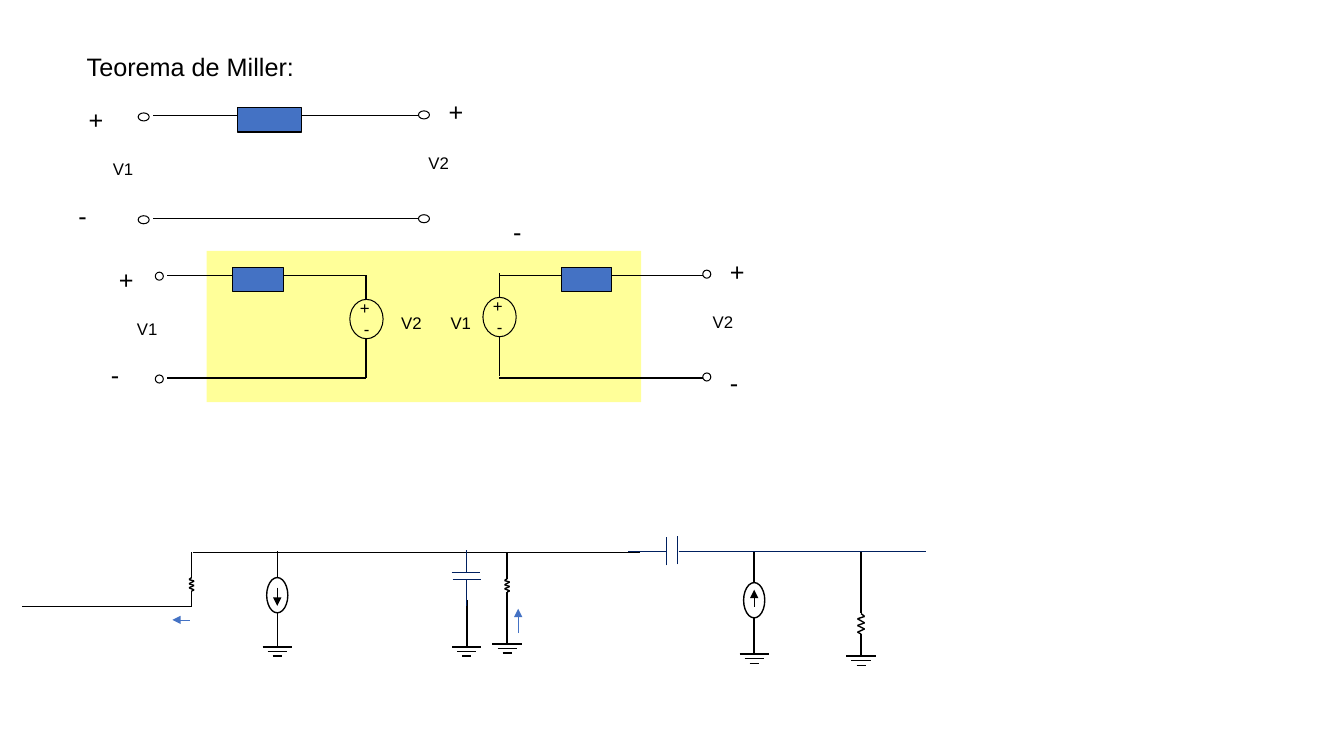
from itertools import pairwise

from lxml import etree
from pptx import Presentation
from pptx.dml.color import RGBColor
from pptx.enum.shapes import MSO_CONNECTOR, MSO_SHAPE
from pptx.enum.text import MSO_ANCHOR, MSO_AUTO_SIZE, PP_ALIGN
from pptx.oxml.ns import qn
from pptx.util import Inches, Pt

STRAIGHT = MSO_CONNECTOR.STRAIGHT
RECTANGLE, OVAL = MSO_SHAPE.RECTANGLE, MSO_SHAPE.OVAL
TOP, LEFT = MSO_ANCHOR.TOP, PP_ALIGN.LEFT
NO_RESIZE = MSO_AUTO_SIZE.NONE
TITLE_ONLY = 5
FONT = "Arial"
BLACK, BLUE, NAVY, YELLOW = "000000", "4472C4", "002060", "FFFF99"
ZIGZAG = [(0, 0), (0, 0.16), (-1, 0.26), (1, 0.34), (-1, 0.48), (1, 0.57),
          (-1, 0.69), (1, 0.8), (0, 0.86), (0, 1)]


def color(value):
    """Turn a hex string into a colour."""
    return RGBColor.from_string(value)


def wire(page, x1, y1, x2, y2, width=0.75, ink=BLACK, arrow=False):
    """Draw a straight line, with an arrowhead at its end if asked."""
    line = page.shapes.add_connector(
        STRAIGHT, Inches(x1), Inches(y1), Inches(x2), Inches(y2))
    line.line.width = Pt(width)
    line.line.color.rgb = color(ink)
    properties = line._element.spPr
    if arrow:
        etree.SubElement(properties.find(qn("a:ln")), qn("a:tailEnd"), type="triangle")
    etree.SubElement(properties, qn("a:effectLst"))


def block(page, kind, left, top, width, height, fill=None, line_width=0.75):
    """Draw a preset shape with an optional fill and outline."""
    shape = page.shapes.add_shape(
        kind, Inches(left), Inches(top), Inches(width), Inches(height))
    shape.shadow.inherit = False
    if fill:
        shape.fill.solid()
        shape.fill.fore_color.rgb = color(fill)
    else:
        shape.fill.background()
    if line_width:
        shape.line.width = Pt(line_width)
        shape.line.color.rgb = color(BLACK)
    else:
        shape.line.fill.background()


def write(box, text, size):
    """Fill a box with one unwrapped line of black text."""
    frame = box.text_frame
    frame.text = text
    frame.word_wrap = False
    frame.auto_size = NO_RESIZE
    frame.vertical_anchor = TOP
    para = frame.paragraphs[0]
    para.alignment = LEFT
    para.line_spacing = 1.0
    para.space_before = Pt(0)
    font = para.runs[0].font
    font.name, font.size = FONT, Pt(size)
    font.color.rgb = color(BLACK)


def label(page, text, left, top, width, size=12):
    """Place a label on the circuit."""
    height = 0.4 if size == 18 else 0.3
    box = page.shapes.add_textbox(
        Inches(left), Inches(top), Inches(width), Inches(height))
    write(box, text, size)


def add_title(page, text):
    """Move and format the title placeholder."""
    title = page.shapes.title
    title.left, title.top = Inches(0.76), Inches(0.46)
    title.width, title.height = Inches(2.28), Inches(0.4)
    write(title, text, 18)


def resistor(page, x, top, height, reach):
    """Draw a zigzag resistor downwards from its top."""
    points = [(x + reach * across, top + height * down) for across, down in ZIGZAG]
    for start, end in pairwise(points):
        wire(page, *start, *end, width=1)


def ground(page, x, top):
    """Draw a ground symbol of three shrinking bars."""
    for step, half in enumerate((0.145, 0.095, 0.045)):
        y = top + 0.045 * step
        wire(page, x - half, y, x + half, y, width=1)


def voltage_source(page, x, top):
    """Draw a voltage source with its polarity and vertical leads."""
    wire(page, x, top - 0.24, x, top)
    block(page, OVAL, x - 0.16, top, 0.33, 0.39)
    label(page, "+", x - 0.16, top - 0.07, 0.3)
    label(page, "-", x - 0.12, top + 0.14, 0.26)
    wire(page, x, top + 0.39, x, top + 0.78)


def current_source(page, x, top, bottom, arrow_start, arrow_end):
    """Draw a grounded current source hanging from the main rail."""
    wire(page, x, 5.47, x, top, width=1)
    block(page, OVAL, x - 0.105, top, 0.21, 0.35, line_width=1)
    wire(page, x, arrow_start, x, arrow_end, width=0.5, arrow=True)
    wire(page, x, top + 0.35, x, bottom, width=1)
    ground(page, x, bottom)


def draw_bridge(page):
    """Draw the two-port with one bridging impedance."""
    block(page, RECTANGLE, 2.36, 1.07, 0.63, 0.24, BLUE)
    for x1, x2, y in ((1.52, 2.36, 1.15), (2.99, 4.15, 1.15), (1.52, 4.15, 2.17)):
        wire(page, x1, y, x2, y)
    for left, top in ((1.37, 1.12), (4.15, 1.1), (1.37, 2.14), (4.15, 2.13)):
        block(page, OVAL, left, top, 0.11, 0.08)
    label(page, "V1", 1.02, 1.53, 0.41)
    label(page, "V2", 4.15, 1.47, 0.41)
    for sign, left, top in (("+", 4.35, 0.91), ("+", 0.78, 0.99),
                            ("-", 0.68, 1.94), ("-", 4.99, 2.1)):
        label(page, sign, left, top, 0.35 if sign == "+" else 0.29, 18)


def draw_equivalent(page):
    """Draw the equivalent circuit with two separate sources."""
    block(page, RECTANGLE, 2.05, 2.49, 4.31, 1.5, YELLOW, line_width=0)
    for left in (2.31, 5.57):
        block(page, RECTANGLE, left, 2.65, 0.5, 0.24, BLUE)
    for x1, x2 in ((1.66, 2.31), (2.81, 3.63), (4.95, 5.57), (6.07, 6.97)):
        wire(page, x1, 2.73, x2, 2.73)
    for x1, x2 in ((1.66, 3.63), (4.95, 6.97)):
        wire(page, x1, 3.75, x2, 3.75)
    for left, top in ((1.54, 2.7), (6.97, 2.68)):
        for drop in (0, 1.02):
            block(page, OVAL, left, top + drop, 0.08, 0.08)
    for text, left, top in (("V1", 1.26, 3.11), ("V2", 3.88, 3.05),
                            ("V1", 4.37, 3.05), ("V2", 6.97, 3.04)):
        label(page, text, left, top, 0.41)
    for sign, left, top in (("+", 1.08, 2.57), ("-", 1, 3.52),
                            ("+", 7.14, 2.49), ("-", 7.14, 3.59)):
        label(page, sign, left, top, 0.35 if sign == "+" else 0.29, 18)
    voltage_source(page, 3.63, 2.97)
    voltage_source(page, 4.95, 2.95)


def draw_small_signal(page):
    """Draw the small-signal circuit along the bottom."""
    wire(page, 0.22, 6.02, 1.9, 6.02, width=1)
    wire(page, 1.91, 5.48, 6.35, 5.48, width=1)
    for x, rail_end, top, height, reach, bottom in (
            (1.9, 5.7, 5.7, 0.19, 0.025, 6.02),
            (5.03, 5.71, 5.71, 0.19, 0.025, 6.39),
            (8.54, 6.04, 6.04, 0.29, -0.035, 6.51)):
        wire(page, x, 5.48, x, rail_end, width=1)
        resistor(page, x, top, height, reach)
        wire(page, x, top + height, x, bottom, width=1)
    current_source(page, 2.75, 5.73, 6.42, 5.83, 6.01)
    current_source(page, 7.48, 5.78, 6.49, 6.02, 5.85)
    for x, y in ((4.63, 6.42), (5.03, 6.39), (8.54, 6.51)):
        ground(page, x, y)
    wire(page, 4.63, 5.95, 4.63, 6.42, width=1)
    for ends in ((4.49, 5.75, 4.77, 5.75), (4.48, 5.68, 4.76, 5.68),
                 (4.63, 5.75, 4.63, 6.01), (4.63, 5.67, 4.63, 5.46),
                 (6.61, 5.61, 6.61, 5.33), (6.72, 5.6, 6.72, 5.32),
                 (6.61, 5.47, 6.23, 5.47), (6.73, 5.47, 9.18, 5.47)):
        wire(page, *ends, ink=NAVY)
    for ends in ((1.88, 6.15, 1.71, 6.15), (5.14, 6.28, 5.14, 6.04)):
        wire(page, *ends, width=0.5, ink=BLUE, arrow=True)


def main():
    """Build and save the slide."""
    deck = Presentation()
    deck.slide_width, deck.slide_height = Inches(13.33), Inches(7.5)
    page = deck.slides.add_slide(deck.slide_layouts[TITLE_ONLY])
    add_title(page, "Teorema de Miller:")
    draw_bridge(page)
    draw_equivalent(page)
    draw_small_signal(page)
    deck.save("out.pptx")


if __name__ == "__main__":
    main()
